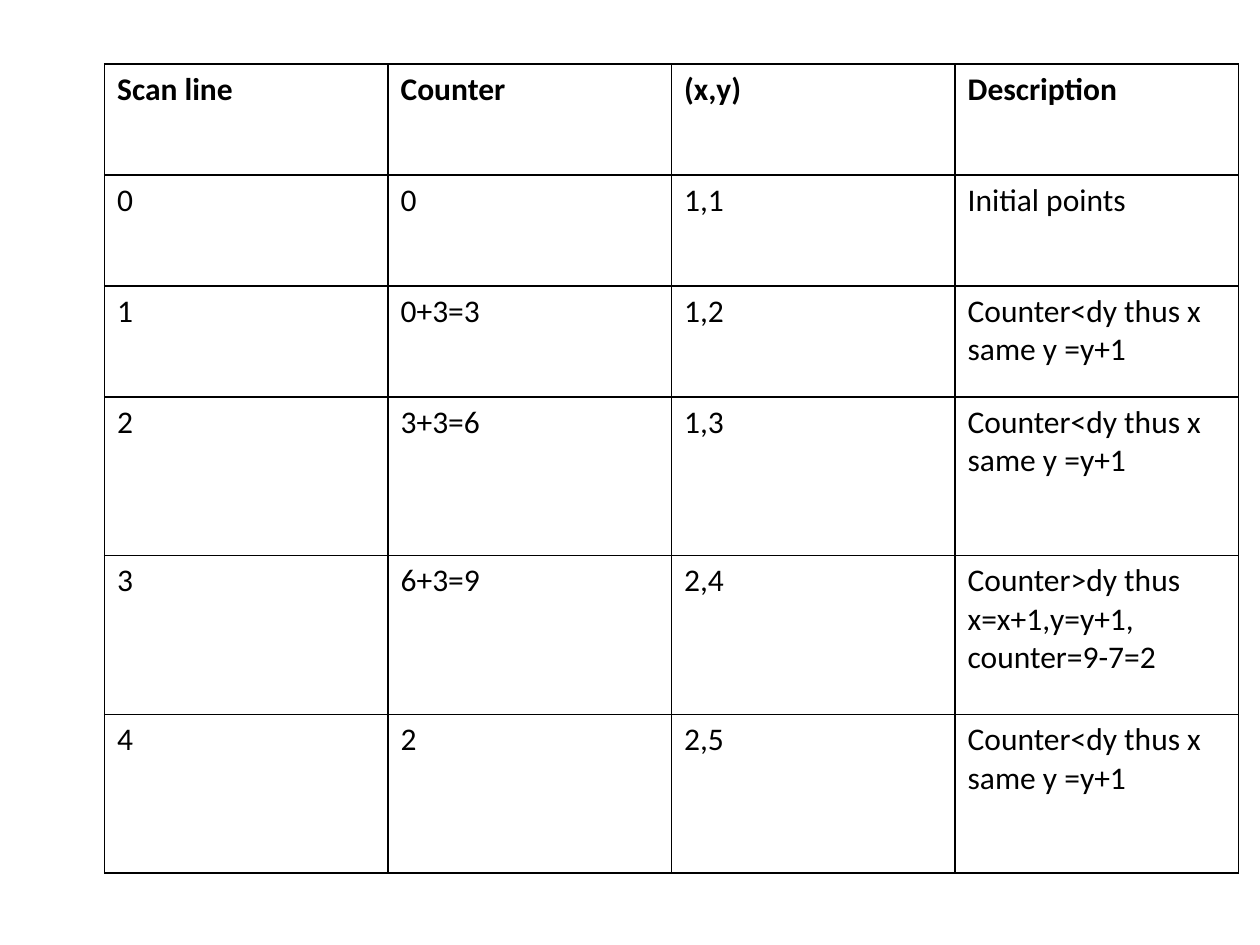
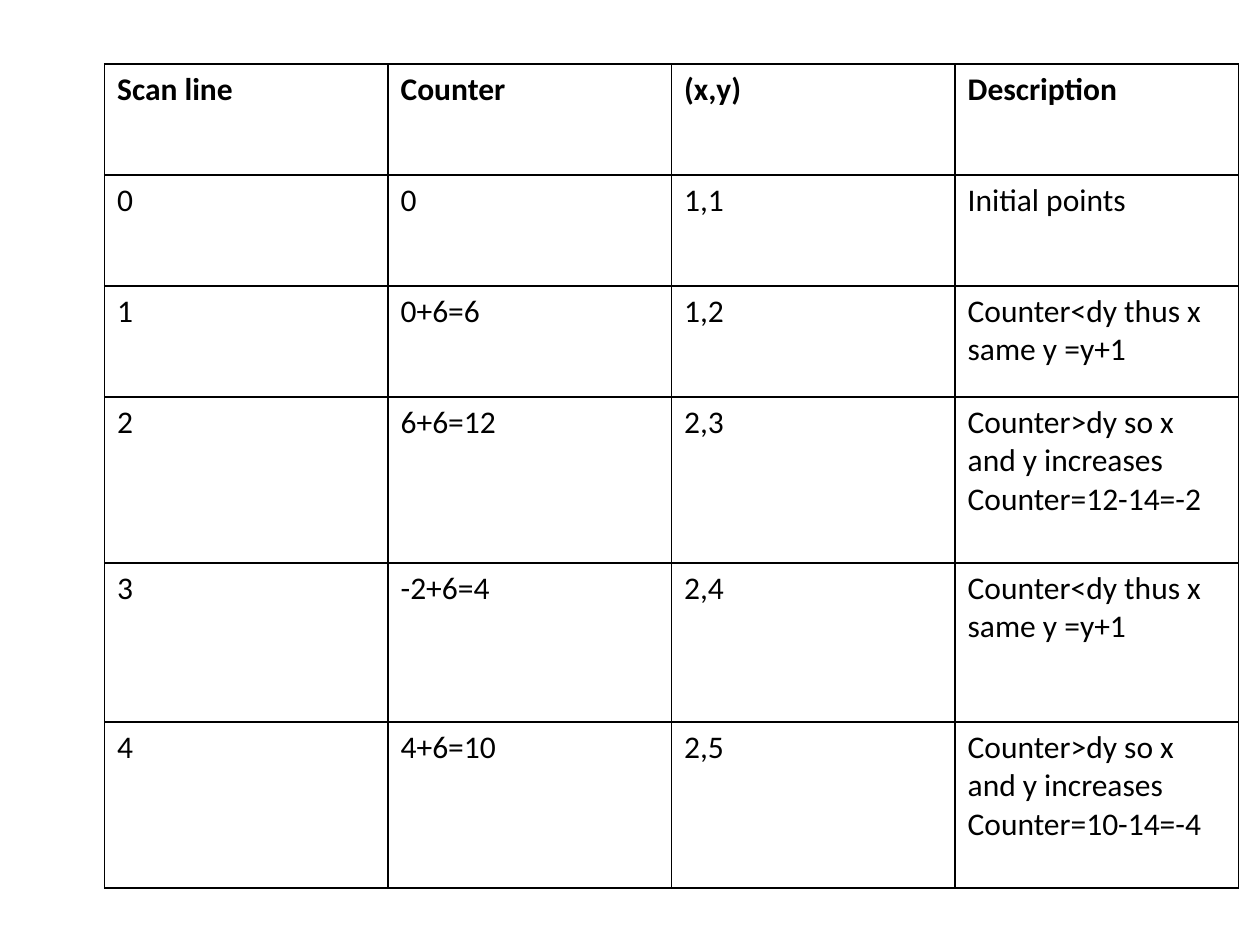
from dataclasses import dataclass

from lxml import etree
from pptx import Presentation
from pptx.dml.color import RGBColor
from pptx.oxml import ns
from pptx.util import Inches, Pt

# Content: one table per slide
HEADER = ("Scan line", "Counter", "(x,y)", "Description")
START = ("0", "0", "1,1", "Initial points")
SAME_X = "Counter<dy thus x same y =y+1"
BOTH_GROW = "Counter>dy so x and y increases"

SCAN_TABLES = [
    [
        HEADER,
        START,
        ("1", "0+3=3", "1,2", SAME_X),
        ("2", "3+3=6", "1,3", SAME_X),
        ("3", "6+3=9", "2,4", "Counter>dy thus x=x+1,y=y+1,\ncounter=9-7=2"),
        ("4", "2", "2,5", SAME_X),
    ],
    [
        HEADER,
        START,
        ("1", "0+6=6", "1,2", SAME_X),
        ("2", "6+6=12", "2,3", f"{BOTH_GROW}\nCounter=12-14=-2"),
        ("3", "-2+6=4", "2,4", SAME_X),
        ("4", "4+6=10", "2,5", f"{BOTH_GROW}\nCounter=10-14=-4"),
    ],
]


@dataclass(frozen=True)
class Theme:
    ink: str = "000000"
    font: str = "Calibri"
    text_size: float = 18
    border_width: float = 1


THEME = Theme()

# Grid, in inches
SLIDE_SIZE = (10, 7.5)
TABLE_LEFT, TABLE_TOP = 0.83, 0.51
COLUMN_WIDTH = 2.25
SHORT_ROW, TALL_ROW, TALLEST_ROW = 0.88, 1.26, 1.32
SHORT_ROW_COUNT = 3
RIGHT_MARGIN = 0.12


def row_height(index, row):
    """Early rows are short; a two-part note on growth needs the most room."""
    if index < SHORT_ROW_COUNT:
        return SHORT_ROW
    return TALLEST_ROW if row[-1].startswith(BOTH_GROW) else TALL_ROW


def add_borders(cell):
    properties = cell._tc.get_or_add_tcPr()
    for position, side in enumerate(("lnL", "lnR", "lnT", "lnB")):
        line = etree.Element(ns.qn(f"a:{side}"), w=str(Pt(THEME.border_width)))
        fill = etree.SubElement(line, ns.qn("a:solidFill"))
        etree.SubElement(fill, ns.qn("a:srgbClr"), val=THEME.ink)
        properties.insert(position, line)


def fill_cell(cell, words, bold):
    cell.text = words
    cell.margin_right = Inches(RIGHT_MARGIN)
    cell.fill.background()
    add_borders(cell)
    font_format = {"name": THEME.font, "size": Pt(THEME.text_size), "bold": bold}
    for paragraph in cell.text_frame.paragraphs:
        for run in paragraph.runs:
            for attribute, value in font_format.items():
                setattr(run.font, attribute, value)
            run.font.color.rgb = RGBColor.from_string(THEME.ink)


def add_scan_table(slide, rows):
    heights = [row_height(index, row) for index, row in enumerate(rows)]
    columns = len(HEADER)
    box = (TABLE_LEFT, TABLE_TOP, columns * COLUMN_WIDTH, sum(heights))
    table = slide.shapes.add_table(len(rows), columns, *map(Inches, box)).table
    table.horz_banding = False
    for row_index, row in enumerate(rows):
        table.rows[row_index].height = Inches(heights[row_index])
        for column_index, words in enumerate(row):
            fill_cell(table.cell(row_index, column_index), words, bold=row_index == 0)


def main():
    presentation = Presentation()
    presentation.slide_width, presentation.slide_height = map(Inches, SLIDE_SIZE)
    blank_layout = presentation.slide_layouts[6]
    for rows in SCAN_TABLES:
        add_scan_table(presentation.slides.add_slide(blank_layout), rows)
    presentation.save("out.pptx")


if __name__ == "__main__":
    main()
